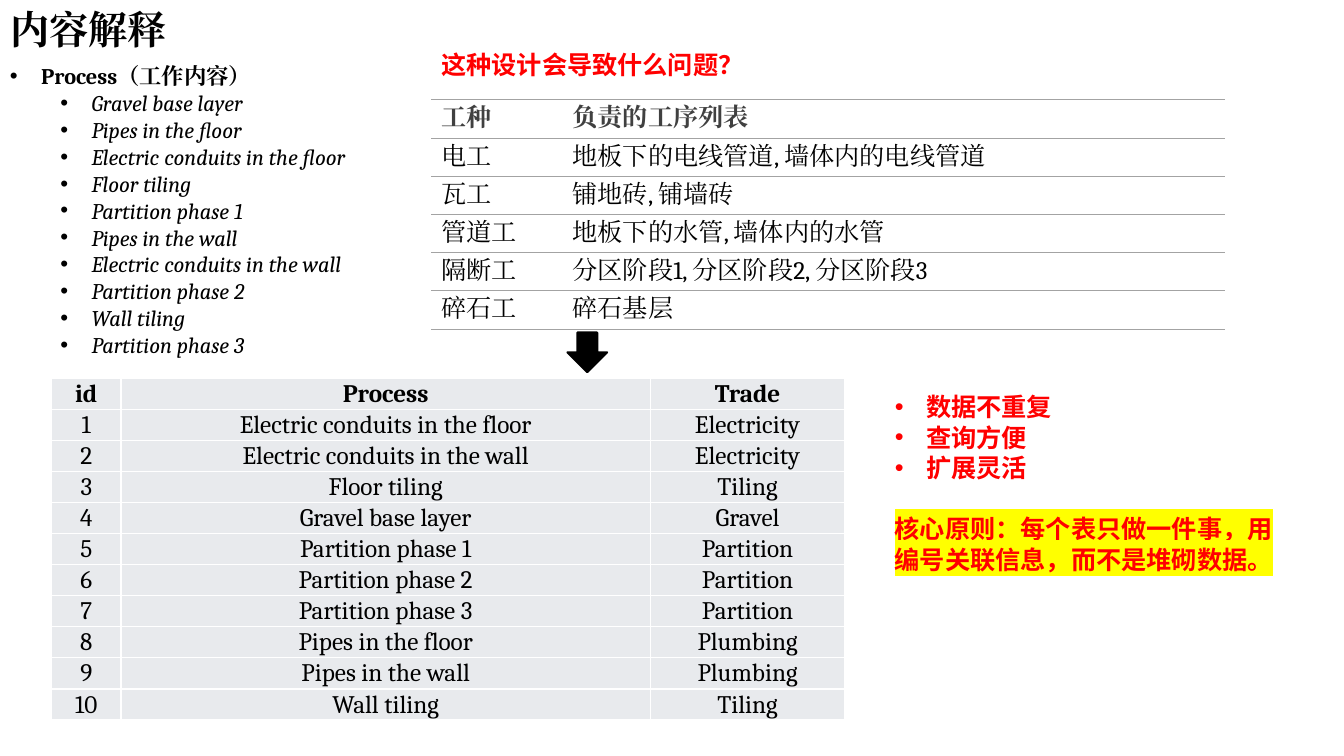
from lxml import etree
from pptx import Presentation
from pptx import util as u
from pptx.dml.color import RGBColor
from pptx.enum import shapes, text
from pptx.oxml.ns import qn

SERIF, SANS = "Cambria", "Noto Sans CJK SC"
BLACK, RED, WHITE = "000000", "FF0000", "FFFFFF"


def add_span(para, words, size, color, face=SERIF, bold=False, italic=False, highlight=None):
    span = para.add_run()
    span.text = words
    span.font.size, span.font.bold, span.font.italic = u.Pt(size), bold, italic
    span.font.color.rgb = RGBColor.from_string(color)
    props = span.font._element
    if highlight:
        mark = etree.SubElement(props, qn("a:highlight"))
        etree.SubElement(mark, qn("a:srgbClr"), val=highlight)
    for script in ("a:latin", "a:ea"):
        etree.SubElement(props, qn(script), typeface=face)


def add_bullet(para, indent):
    props = para._p.get_or_add_pPr()
    props.set("marL", str(u.Cm(indent)))
    props.set("indent", str(-u.Cm(0.79)))
    etree.SubElement(props, qn("a:buFont"), typeface="Arial")
    etree.SubElement(props, qn("a:buChar"), char="•")


deck = Presentation()
deck.slide_width, deck.slide_height = u.Cm(33.87), u.Cm(19.05)
page = deck.slides.add_slide(deck.slide_layouts[5])

# Title
title = page.shapes.title
title.left, title.top, title.width, title.height = u.Cm(0), u.Cm(0), u.Cm(33.87), u.Cm(1.45)
title.text_frame.vertical_anchor = text.MSO_ANCHOR.TOP
title.text_frame.auto_size = text.MSO_AUTO_SIZE.NONE
title.text_frame.paragraphs[0].alignment = text.PP_ALIGN.LEFT
add_span(title.text_frame.paragraphs[0], "内容解释", 28, BLACK, bold=True)

# List of processes
box = page.shapes.add_textbox(u.Cm(0), u.Cm(1.45), u.Cm(33.87), u.Cm(7.77))
box.text_frame.word_wrap = True
para = box.text_frame.paragraphs[0]
add_bullet(para, 0.79)
add_span(para, "Process（工作内容）", 16, BLACK, bold=True)
processes = ["Gravel base layer", "Pipes in the floor", "Electric conduits in the floor",
             "Floor tiling", "Partition phase 1", "Pipes in the wall",
             "Electric conduits in the wall", "Partition phase 2", "Wall tiling",
             "Partition phase 3"]
for process in processes:
    para = box.text_frame.add_paragraph()
    para.level = 1
    add_bullet(para, 2.06)
    add_span(para, process, 16, BLACK, italic=True)

# Tables: one process per row, and the list of processes per trade
process_rows = [
    ("id", "Process", "Trade"),
    ("1", "Electric conduits in the floor", "Electricity"),
    ("2", "Electric conduits in the wall", "Electricity"),
    ("3", "Floor tiling", "Tiling"),
    ("4", "Gravel base layer", "Gravel"),
    ("5", "Partition phase 1", "Partition"),
    ("6", "Partition phase 2", "Partition"),
    ("7", "Partition phase 3", "Partition"),
    ("8", "Pipes in the floor", "Plumbing"),
    ("9", "Pipes in the wall", "Plumbing"),
    ("10", "Wall tiling", "Tiling"),
]
trade_rows = [
    ("工种", "负责的工序列表"),
    ("电工", "地板下的电线管道, 墙体内的电线管道"),
    ("瓦工", "铺地砖, 铺墙砖"),
    ("管道工", "地板下的水管, 墙体内的水管"),
    ("隔断工", "分区阶段1, 分区阶段2, 分区阶段3"),
    ("碎石工", "碎石基层"),
]
tables = [
    dict(rows=process_rows, left=1.3, top=9.53, widths=(1.75, 13.34, 4.9), height=0.78,
         fill="E8EAED", head=BLACK, align=text.PP_ALIGN.CENTER,
         margins=[(0.02, 0.02, 0.02, 0)] * 3, line=("FFFFFF", 1), ruled="LRTB"),
    dict(rows=trade_rows, left=10.87, top=2.51, widths=(3.38, 16.61), height=0.94,
         fill=WHITE, head="404040", align=text.PP_ALIGN.LEFT,
         margins=[(0.25, 0.1, 0.18, 0.1), (0.18, 0.1, 0.18, 0.1)],
         line=("A3A3A3", 0.38), ruled="TB"),
]
for plan in tables:
    rows, widths = plan["rows"], plan["widths"]
    grid = page.shapes.add_table(len(rows), len(widths), u.Cm(plan["left"]), u.Cm(plan["top"]),
                                 u.Cm(sum(widths)), u.Cm(plan["height"] * len(rows))).table
    grid.first_row = grid.horz_banding = False
    for column, width in zip(grid.columns, widths):
        column.width = u.Cm(width)
    line_color, line_width = plan["line"]
    for r, row in enumerate(rows):
        grid.rows[r].height = u.Cm(plan["height"])
        for c, words in enumerate(row):
            cell = grid.cell(r, c)
            cell.vertical_anchor = text.MSO_ANCHOR.MIDDLE
            (cell.margin_left, cell.margin_top, cell.margin_right,
             cell.margin_bottom) = map(u.Cm, plan["margins"][c])
            props = cell._tc.get_or_add_tcPr()
            for side in "LRTB":
                edge = etree.SubElement(props, qn("a:ln" + side), w=str(u.Pt(line_width)))
                if side in plan["ruled"]:
                    paint = etree.SubElement(edge, qn("a:solidFill"))
                    etree.SubElement(paint, qn("a:srgbClr"), val=line_color)
                else:
                    etree.SubElement(edge, qn("a:noFill"))
            cell.fill.solid()
            cell.fill.fore_color.rgb = RGBColor.from_string(plan["fill"])
            para = cell.text_frame.paragraphs[0]
            para.alignment = plan["align"]
            add_span(para, words, 18, BLACK if r else plan["head"], bold=r == 0)

# Question above the trade table
box = page.shapes.add_textbox(u.Cm(10.87), u.Cm(1.12), u.Cm(17.12), u.Cm(1.02))
box.text_frame.word_wrap = True
para = box.text_frame.paragraphs[0]
para.line_spacing = u.Pt(21.8)
add_span(para, "这种设计会导致什么问题？", 18, RED, SANS, bold=True)

# Arrow from the trade table down to the process table
arrow = page.shapes.add_shape(shapes.MSO_SHAPE.RIGHT_ARROW,
                              u.Cm(14.3), u.Cm(8.38), u.Cm(1), u.Cm(1))
arrow.rotation = 90
arrow.shadow.inherit = False
arrow.fill.solid()
arrow.fill.fore_color.rgb = arrow.line.color.rgb = RGBColor.from_string(BLACK)
arrow.line.width = u.Pt(1.5)

# Benefits and core principle
box = page.shapes.add_textbox(u.Cm(22.3), u.Cm(9.73), u.Cm(10.44), u.Cm(4.88))
box.text_frame.word_wrap = True
para = box.text_frame.paragraphs[0]
for benefit in ("数据不重复", "查询方便", "扩展灵活"):
    para.line_spacing = u.Pt(21.8)
    add_bullet(para, 0.79)
    add_span(para, benefit, 18, RED, SANS, bold=True)
    para = box.text_frame.add_paragraph()
para.line_spacing = para.space_before = u.Pt(21.8)
add_span(para, "核心原则：每个表只做一件事，用编号关联信息，而不是堆砌数据。",
         18, RED, SANS, bold=True, highlight="FFFF00")

deck.save("out.pptx")
